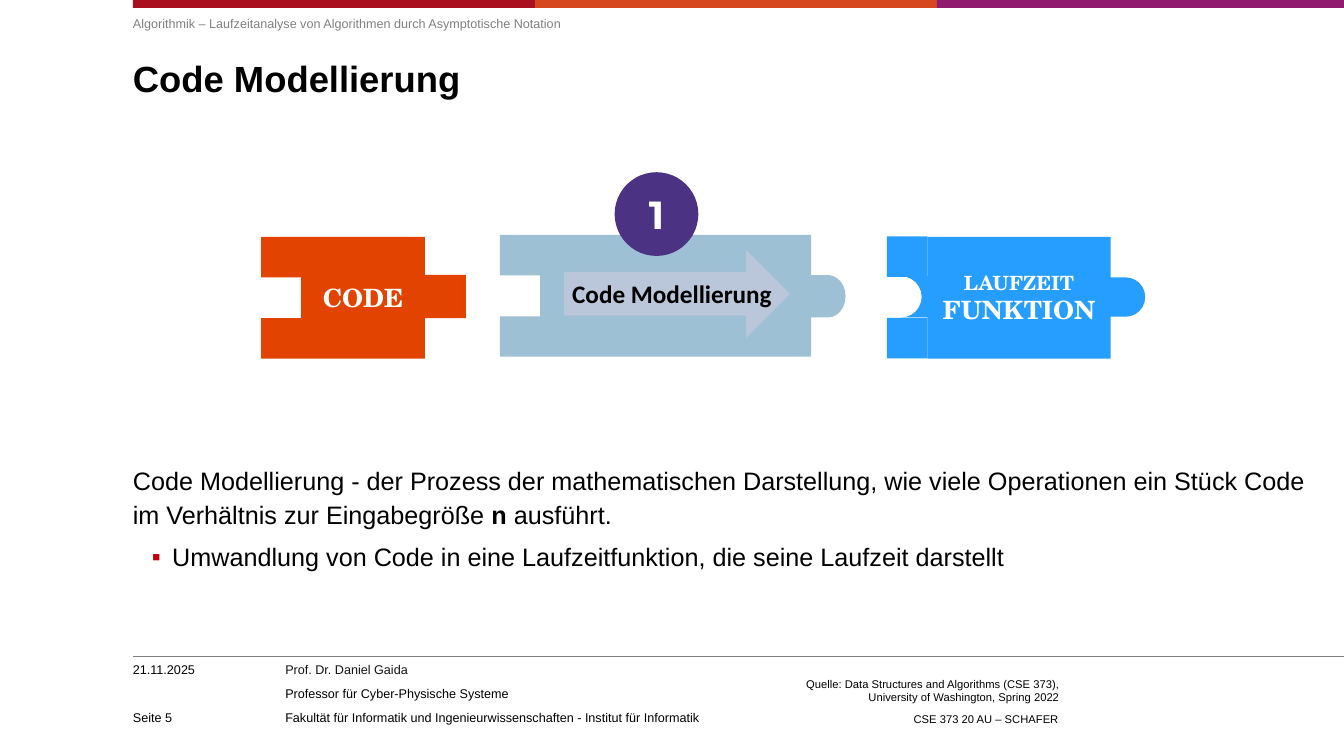
from dataclasses import dataclass
from typing import Optional

from lxml import etree
from pptx import Presentation
from pptx.dml.color import RGBColor
from pptx.enum.shapes import MSO_CONNECTOR, MSO_SHAPE
from pptx.enum.text import MSO_ANCHOR, PP_ALIGN
from pptx.oxml.ns import qn
from pptx.util import Cm, Pt

RECT = MSO_SHAPE.RECTANGLE
ARROW = MSO_SHAPE.RIGHT_ARROW
CIRCLE = MSO_SHAPE.OVAL
ROUND_TAB = MSO_SHAPE.FLOWCHART_STORED_DATA
LEFT, CENTER, RIGHT = PP_ALIGN.LEFT, PP_ALIGN.CENTER, PP_ALIGN.RIGHT
TOP, MIDDLE, BOTTOM = MSO_ANCHOR.TOP, MSO_ANCHOR.MIDDLE, MSO_ANCHOR.BOTTOM

BLACK = RGBColor(0x00, 0x00, 0x00)
WHITE = RGBColor(0xFF, 0xFF, 0xFF)
GRAY = RGBColor(0x80, 0x80, 0x80)
INK = RGBColor(0x14, 0x13, 0x13)
BULLET_RED = "C00009"
STRIPE_COLORS = (RGBColor(0xAA, 0x0F, 0x1F), RGBColor(0xD7, 0x47, 0x1F),
                 RGBColor(0x90, 0x1B, 0x6E))
ORANGE = RGBColor(0xE2, 0x43, 0x00)
PALE_BLUE = RGBColor(0x9E, 0xC0, 0xD5)
BLUE = RGBColor(0x25, 0x9E, 0xFF)
ARROW_GRAY = RGBColor(0xBA, 0xC7, 0xDA)
PURPLE = RGBColor(0x4C, 0x32, 0x82)

SLIDE_WIDTH, SLIDE_HEIGHT = 33.87, 19.05
MARGIN = 3.35
STRIPE_WIDTH = 10.13
PRONG, PRONG_STEP = 1.02, 2.05
SERIF = "TeX Gyre Schola"


@dataclass(frozen=True)
class Line:
    """One paragraph; ** in the text switches bold on and off."""
    text: str
    size: float
    color: RGBColor = BLACK
    font: str = "Arial"
    after: float = 0
    spacing: Optional[float] = None
    bullet: bool = False


@dataclass(frozen=True)
class Label:
    left: float
    top: float
    width: float
    height: float
    lines: tuple[Line, ...]
    align: PP_ALIGN = LEFT
    anchor: MSO_ANCHOR = TOP
    inset: bool = False


@dataclass(frozen=True)
class Piece:
    kind: MSO_SHAPE
    left: float
    top: float
    width: float
    height: float
    color: RGBColor
    lines: tuple[Line, ...] = ()


def add_bullet(paragraph) -> None:
    props = paragraph._p.get_or_add_pPr()
    props.set("marL", str(Cm(0.99)))
    props.set("indent", str(Cm(-0.51)))
    color = etree.SubElement(props, qn("a:buClr"))
    etree.SubElement(color, qn("a:srgbClr")).set("val", BULLET_RED)
    etree.SubElement(props, qn("a:buFont")).set("typeface", "Arial")
    etree.SubElement(props, qn("a:buChar")).set("char", "▪")


def write_lines(frame, lines: tuple[Line, ...], align: PP_ALIGN,
                anchor: MSO_ANCHOR) -> None:
    frame.word_wrap = True
    frame.vertical_anchor = anchor
    for index, line in enumerate(lines):
        paragraph = frame.add_paragraph() if index else frame.paragraphs[0]
        paragraph.alignment = align
        paragraph.space_after = Pt(line.after)
        if line.spacing:
            paragraph.line_spacing = line.spacing
        if line.bullet:
            add_bullet(paragraph)
        for part, words in enumerate(line.text.split("**")):
            if not words:
                continue
            run = paragraph.add_run()
            run.text = words
            run.font.name = line.font
            run.font.size = Pt(line.size)
            run.font.bold = part % 2 == 1
            run.font.color.rgb = line.color


def draw_label(slide, label: Label) -> None:
    box = slide.shapes.add_textbox(Cm(label.left), Cm(label.top),
                                   Cm(label.width), Cm(label.height))
    frame = box.text_frame
    if not label.inset:
        frame.margin_left = frame.margin_right = Cm(0)
        frame.margin_top = frame.margin_bottom = Cm(0)
    write_lines(frame, label.lines, label.align, label.anchor)


def draw_piece(slide, piece: Piece) -> None:
    shape = slide.shapes.add_shape(piece.kind, Cm(piece.left), Cm(piece.top),
                                   Cm(piece.width), Cm(piece.height))
    shape.shadow.inherit = False
    shape.fill.solid()
    shape.fill.fore_color.rgb = piece.color
    shape.line.fill.background()
    if piece.kind == ROUND_TAB:
        shape.rotation = 180
    if piece.lines:
        write_lines(shape.text_frame, piece.lines, CENTER, MIDDLE)


def prongs(left: float, top: float, color: RGBColor) -> list[Piece]:
    """The two squares that enclose the socket of a puzzle piece."""
    return [Piece(RECT, left, top + row * PRONG_STEP, PRONG, PRONG, color)
            for row in range(2)]


def draw_footer_rule(slide) -> None:
    rule = slide.shapes.add_connector(MSO_CONNECTOR.STRAIGHT, Cm(MARGIN), Cm(16.54),
                                      Cm(SLIDE_WIDTH), Cm(16.54))
    rule.line.color.rgb = GRAY
    rule.line.width = Pt(0.5)
    etree.SubElement(rule._element.spPr, qn("a:effectLst"))


STRIPES = [Piece(RECT, MARGIN + i * STRIPE_WIDTH, 0,
                 min(STRIPE_WIDTH, SLIDE_WIDTH - MARGIN - i * STRIPE_WIDTH) if i < 2
                 else SLIDE_WIDTH - MARGIN - i * STRIPE_WIDTH, 0.2, color)
           for i, color in enumerate(STRIPE_COLORS)]

PUZZLE = [
    # Code
    *prongs(6.58, 5.97, ORANGE),
    Piece(RECT, 7.59, 5.97, 3.12, 3.07, ORANGE,
          (Line("**CODE**", 18, WHITE, SERIF),)),
    Piece(RECT, 10.57, 6.93, 1.17, 1.09, ORANGE),
    # Code modelling
    *prongs(12.6, 5.92, PALE_BLUE),
    Piece(RECT, 13.61, 5.92, 6.83, 3.07, PALE_BLUE),
    Piece(ROUND_TAB, 18.62, 6.93, 2.69, 1.07, PALE_BLUE),
    Piece(ARROW, 14.22, 6.3, 5.69, 2.21, ARROW_GRAY),
    Piece(CIRCLE, 15.49, 4.34, 2.11, 2.11, PURPLE,
          (Line("**1**", 28, WHITE, "Montserrat"),)),
    # Runtime function
    *prongs(22.35, 5.96, BLUE),
    Piece(ROUND_TAB, 22.71, 6.96, 3.1, 1.04, BLUE),
    Piece(ROUND_TAB, 25.91, 6.99, 2.95, 0.99, BLUE),
    Piece(RECT, 23.37, 5.97, 4.62, 3.07, BLUE,
          (Line("**LAUFZEIT**", 14, WHITE, SERIF),
           Line("**FUNKTION**", 18, WHITE, SERIF))),
]

LABELS = [
    # Header, title and explanation
    Label(MARGIN, 0.41, 29.97, 0.61, (Line(
        "Algorithmik – Laufzeitanalyse von Algorithmen durch Asymptotische Notation",
        9, GRAY),)),
    Label(MARGIN, 1.45, 30, 2.49,
          (Line("**Code Modellierung**", 26, spacing=Pt(30)),)),
    Label(MARGIN, 11.63, 30, 4.66, (
        Line("Code Modellierung - der Prozess der mathematischen Darstellung, wie viele "
             "Operationen ein Stück Code im Verhältnis zur Eingabegröße **n** ausführt.",
             18, after=6, spacing=1.12),
        Line("Umwandlung von Code in eine Laufzeitfunktion, die seine Laufzeit darstellt",
             18, after=6, spacing=1.12, bullet=True))),
    # Arrow caption
    Label(14.17, 6.88, 5.61, 1.02,
          (Line("**Code Modellierung**", 18, font="Calibri"),), inset=True),
    # Footer
    Label(MARGIN, 16.69, 3.61, 0.51, (Line("21.11.2025", 9),)),
    Label(MARGIN, 17.68, 3.61, 0.58, (Line("Seite 5", 9),), anchor=BOTTOM),
    Label(7.19, 16.69, 14.6, 1.52, (
        Line("Prof. Dr. Daniel Gaida", 9, INK, after=6),
        Line("Professor für Cyber-Physische Systeme", 9, after=6),
        Line("Fakultät für Informatik und Ingenieurwissenschaften - Institut für Informatik",
             9, after=6))),
    Label(19.13, 17.09, 7.82, 0.61, (Line(
        "Quelle: Data Structures and Algorithms (CSE 373), "
        "University of Washington, Spring 2022", 8),), RIGHT, MIDDLE, True),
    Label(20.83, 17.81, 6.1, 0.61, (Line("CSE 373 20 AU – SCHAFER", 8),),
          RIGHT, MIDDLE, True),
]


def main() -> None:
    deck = Presentation()
    deck.slide_width, deck.slide_height = Cm(SLIDE_WIDTH), Cm(SLIDE_HEIGHT)
    slide = deck.slides.add_slide(deck.slide_layouts[6])
    for piece in STRIPES + PUZZLE:
        draw_piece(slide, piece)
    draw_footer_rule(slide)
    for label in LABELS:
        draw_label(slide, label)
    deck.save("out.pptx")


if __name__ == "__main__":
    main()
